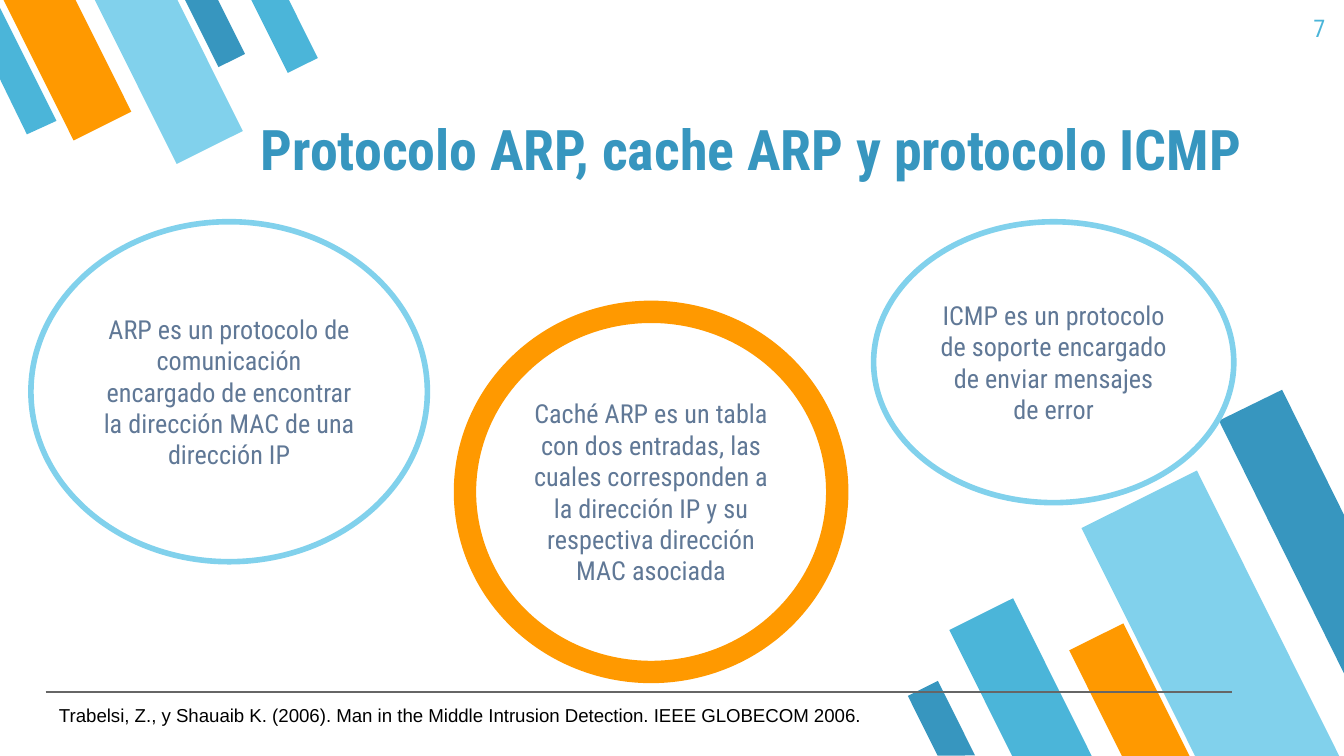
"""Build a slide on the ARP protocol, the ARP cache and the ICMP protocol."""
import pptx
import pptx.dml.color
import pptx.enum.shapes
import pptx.enum.text
import pptx.oxml.ns
import pptx.util
import lxml.etree

RGBColor = pptx.dml.color.RGBColor
Shapes = pptx.enum.shapes.MSO_SHAPE
Align = pptx.enum.text.PP_ALIGN
Anchor = pptx.enum.text.MSO_ANCHOR

DARK_BLUE = RGBColor(0x37, 0x96, 0xBF)
BLUE = RGBColor(0x4B, 0xB5, 0xD9)
LIGHT_BLUE = RGBColor(0x81, 0xD1, 0xEC)
ORANGE = RGBColor(0xFF, 0x99, 0x00)
SLATE = RGBColor(0x60, 0x78, 0x96)
GRAY = RGBColor(0x66, 0x66, 0x66)
BLACK = RGBColor(0, 0, 0)

CELL = pptx.util.Inches(0.1)
COLUMNS, ROWS = 100, 56.25
HEADING_FONT, SOURCE_FONT = "Roboto Condensed", "Arial"


def grid(*cells):
    """Turn grid columns and rows into slide lengths."""
    return [pptx.util.Emu(round(cell * CELL)) for cell in cells]


def write(shape, text, align, anchor, font):
    """Set the text of a shape with its frame and font formats."""
    frame = shape.text_frame
    frame_format = {
        "word_wrap": True, "vertical_anchor": anchor,
        "margin_left": CELL, "margin_right": CELL,
        "margin_top": CELL, "margin_bottom": CELL,
    }
    for name, value in frame_format.items():
        setattr(frame, name, value)
    paragraph = frame.paragraphs[0]
    paragraph.alignment = align
    run = paragraph.add_run()
    run.text = text
    for name, value in font.items():
        target = run.font.color if name == "rgb" else run.font
        setattr(target, name, value)


presentation = pptx.Presentation()
presentation.slide_width, presentation.slide_height = grid(COLUMNS, ROWS)
slide = presentation.slides.add_slide(presentation.slide_layouts[5])

bars = [
    (73.3, 45, 5.3, 13.2, 153.5, BLUE),
    (85.3, 35.9, 9.6, 23.9, 153.5, LIGHT_BLUE),
    (81.8, 46.8, 4.5, 11.1, 153.5, ORANGE),
    (68.8, 50.9, 2.5, 6.2, 153.5, DARK_BLUE),
    (14.9, -0.8, 2.2, 5.6, 333.5, DARK_BLUE),
    (2.6, -1.8, 4.8, 11.8, 333.5, ORANGE),
    (9.8, -2, 5.5, 13.7, 333.5, LIGHT_BLUE),
    (19.9, -1, 2.5, 6.2, 333.5, BLUE),
]
edge_bars = [
    ([(95.4, 29), (90.7, 31.3), (100, 50.1), (100, 38.3)], DARK_BLUE),
    ([(2, 10), (4.2, 9), (0, 0.6), (0, 5.9)], BLUE),
]
colored_bars = []
for left, top, width, height, rotation, color in bars:
    bar = slide.shapes.add_shape(Shapes.FLOWCHART_MANUAL_INPUT, *grid(left, top, width, height))
    bar.rotation = rotation
    bar._element.spPr.xfrm.set("flipH", "1")
    colored_bars.append((bar, color))
for corners, color in edge_bars:
    points = [grid(*corner) for corner in corners]
    builder = slide.shapes.build_freeform(*points[0])
    builder.add_line_segments(points[1:], close=True)
    colored_bars.append((builder.convert_to_shape(), color))
for bar, color in colored_bars:
    bar.shadow.inherit = False
    bar.fill.solid()
    bar.fill.fore_color.rgb = color
    bar.line.fill.background()

title = slide.shapes.title
title.left, title.top, title.width, title.height = grid(18.4, 6.4, 77.8, 8.1)
write(title, "Protocolo ARP, cache ARP y protocolo ICMP", Align.LEFT, Anchor.BOTTOM,
      {"name": HEADING_FONT, "size": pptx.util.Pt(30), "bold": True, "rgb": DARK_BLUE})

definitions = [
    ((2.3, 16.5, 29.5, 25.3), LIGHT_BLUE, 3,
     "ARP es un protocolo de comunicación encargado de encontrar "
     "la dirección MAC de una dirección IP"),
    ((65, 16.5, 26.8, 20.9), LIGHT_BLUE, 3,
     "ICMP es un protocolo de soporte encargado de enviar mensajes de error"),
    ((34.6, 23.2, 27.7, 26.8), ORANGE, 12,
     "Caché ARP es un tabla con dos entradas, las cuales corresponden a "
     "la dirección IP y su respectiva dirección MAC asociada"),
]
for cells, color, weight, text in definitions:
    ellipse = slide.shapes.add_shape(Shapes.OVAL, *grid(*cells))
    ellipse.shadow.inherit = False
    ellipse.fill.background()
    ellipse.line.color.rgb = color
    ellipse.line.width = pptx.util.Pt(weight)
    write(ellipse, text, Align.CENTER, Anchor.MIDDLE,
          {"name": HEADING_FONT, "size": pptx.util.Pt(14), "rgb": SLATE})

labels = [
    ((93.6, 0, 6, 4.3), "7", Align.RIGHT, HEADING_FONT, 13, BLUE),
    ((3.4, 51.5, 88.2, 3.1),
     "Trabelsi, Z., y Shauaib K. (2006). Man in the Middle Intrusion Detection. "
     "IEEE GLOBECOM 2006.", Align.LEFT, SOURCE_FONT, 10, BLACK),
]
for cells, text, align, font_name, size, color in labels:
    label = slide.shapes.add_textbox(*grid(*cells))
    label.text_frame.auto_size = pptx.enum.text.MSO_AUTO_SIZE.SHAPE_TO_FIT_TEXT
    write(label, text, align, Anchor.TOP,
          {"name": font_name, "size": pptx.util.Pt(size), "rgb": color})

rule = slide.shapes.add_connector(
    pptx.enum.shapes.MSO_CONNECTOR.STRAIGHT, *grid(3.4, 51.5, 91.7, 51.5))
rule.line.color.rgb = GRAY
rule.line.width = pptx.util.Pt(0.75)
lxml.etree.SubElement(rule._element.spPr, pptx.oxml.ns.qn("a:effectLst"))

presentation.save("out.pptx")
